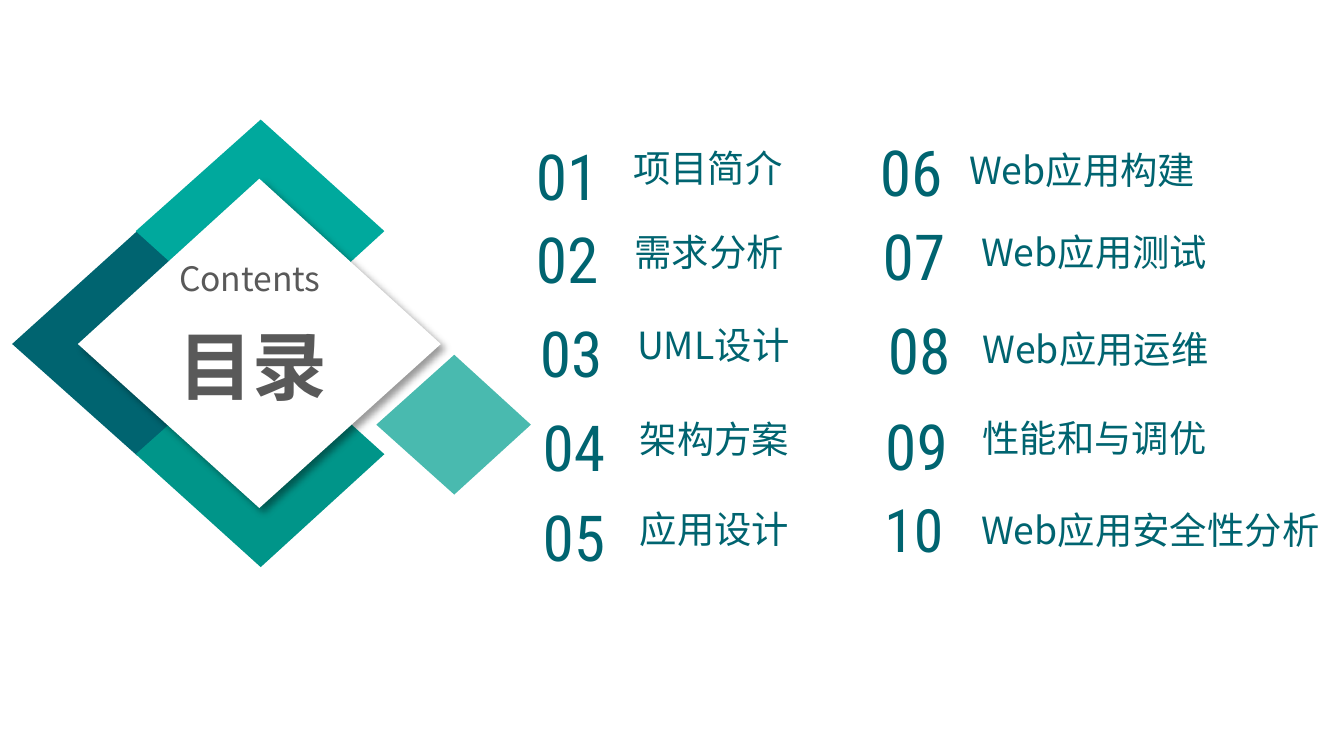
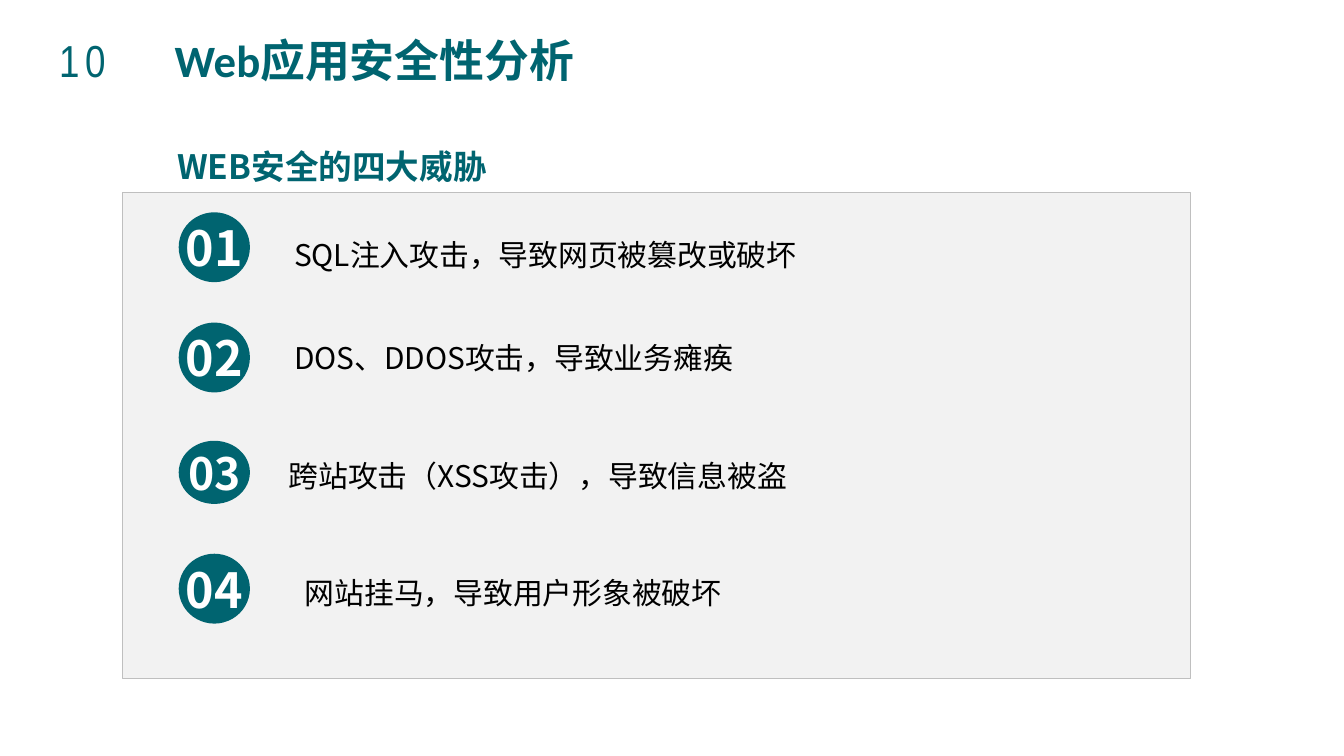
from dataclasses import dataclass

from lxml import etree
from pptx import Presentation
from pptx.dml.color import RGBColor
from pptx.enum.shapes import MSO_SHAPE
from pptx.enum.text import MSO_ANCHOR, MSO_AUTO_SIZE, PP_ALIGN
from pptx.oxml.ns import qn
from pptx.util import Emu, Pt

RECT, OVAL = MSO_SHAPE.RECTANGLE, MSO_SHAPE.OVAL
TOP, MID, LOW = MSO_ANCHOR.TOP, MSO_ANCHOR.MIDDLE, MSO_ANCHOR.BOTTOM
LEFT, CENTER = PP_ALIGN.LEFT, PP_ALIGN.CENTER
GROW, FIXED = MSO_AUTO_SIZE.SHAPE_TO_FIT_TEXT, MSO_AUTO_SIZE.NONE
SCALE = 9144


@dataclass(frozen=True)
class Theme:
    deep: str = "006470"
    teal: str = "00A99D"
    green: str = "009589"
    pale: str = "49BAAF"
    white: str = "FFFFFF"
    black: str = "000000"
    gray: str = "595959"
    panel: str = "F2F2F2"
    edge: str = "BFBFBF"
    sans: str = "Noto Sans CJK SC"
    slim: str = "Roboto Condensed"
    narrow: str = "Arial Narrow"
    latin: str = "Calibri"
    huge: float = 40
    count: float = 34
    last: float = 32
    badge: float = 25.9
    small: float = 23.8
    title: float = 24
    item: float = 20
    head: float = 18
    body: float = 16


THEME = Theme()
PAD = (10, 5, 10, 5)
FLUSH = (0, 0, 0, 0)
INDENT = (39, 0, 0, 0)

ITEMS = [
    (395, 101, 432, 107, "项目简介"),
    (395, 163, 433, 170, "需求分析"),
    (398, 233, 435, 239, "UML设计"),
    (400, 303, 437, 309, "架构方案"),
    (400, 370, 437, 376, "应用设计"),
    (651, 98, 682, 109, "Web应用构建"),
    (653, 161, 691, 170, "Web应用测试"),
    (657, 231, 692, 242, "Web应用运维"),
    (655, 302, 692, 308, "性能和与调优"),
    (653, 364, 691, 377, "Web应用安全性分析"),
]

RISKS = [
    (158, 52, THEME.badge, (209, 171, 606, 37), "SQL注入攻击，导致网页被篡改或破坏"),
    (240, 52, THEME.badge, (209, 248, 583, 37), "DOS、DDOS攻击，导致业务瘫痪"),
    (328, 47, THEME.small, (205, 336, 594, 37), "跨站攻击（XSS攻击），导致信息被盗"),
    (412, 52, THEME.badge, (217, 423, 563, 37), "网站挂马，导致用户形象被破坏"),
]


def px(value):
    return Emu(value * SCALE)


def place(box):
    return [px(value) for value in box]


def tint(name):
    return RGBColor.from_string(name)


def paint(shape, fill, edge=None):
    shape.shadow.inherit = False
    shape.fill.solid()
    shape.fill.fore_color.rgb = tint(fill)
    if edge:
        shape.line.color.rgb = tint(edge)
        shape.line.width = Pt(0.25)
    else:
        shape.line.fill.background()


def add_run(para, text, size, color, face=THEME.sans, bold=False, space=0):
    run = para.add_run()
    run.text = text
    for key, value in {"size": Pt(size), "name": face, "bold": bold}.items():
        setattr(run.font, key, value)
    run.font.color.rgb = tint(color)
    props = run.font._element
    etree.SubElement(props, qn("a:ea")).set("typeface", THEME.sans)
    if space:
        props.set("spc", str(space * 100))


def set_frame(shape, pad=PAD, align=LEFT, anchor=TOP, wrap=True, fit=FIXED):
    frame = shape.text_frame
    sides = ("left", "top", "right", "bottom")
    style = {f"margin_{side}": px(gap) for side, gap in zip(sides, pad)}
    style.update(vertical_anchor=anchor, word_wrap=wrap, auto_size=fit)
    for key, value in style.items():
        setattr(frame, key, value)
    para = frame.paragraphs[0]
    para.alignment = align
    return para


def add_text(slide, box, text, size, color, face=THEME.sans, bold=False, **style):
    para = set_frame(slide.shapes.add_textbox(*place(box)), **style)
    add_run(para, text, size, color, face, bold)


def add_gem(slide, box, fill):
    x, y, wide, high = box
    mid, side = x + wide / 2, y + high / 2
    form = slide.shapes.build_freeform(x + wide, side, scale=SCALE)
    form.add_line_segments([(mid, y + high), (x, side), (mid, y)], close=True)
    shape = form.convert_to_shape()
    paint(shape, fill)
    return shape


def add_shade(shape):
    effects = shape._element.spPr.find(qn("a:effectLst"))
    shade = etree.SubElement(effects, qn("a:outerShdw"))
    values = {"blurRad": Pt(4), "dist": Pt(3), "dir": 45 * 60000, "rotWithShape": 0}
    for key, value in values.items():
        shade.set(key, str(int(value)))
    color = etree.SubElement(shade, qn("a:srgbClr"), val=THEME.black)
    etree.SubElement(color, qn("a:alpha"), val="40000")


def add_badge(slide, box, text, size):
    shape = slide.shapes.add_shape(OVAL, *place(box))
    paint(shape, THEME.deep)
    para = set_frame(shape, FLUSH, CENTER, MID, False)
    add_run(para, text, size, THEME.white, bold=True)


def add_title(slide, count, text):
    box = slide.shapes.add_textbox(*place((44, 20, 441, 48)))
    para = set_frame(box, FLUSH, anchor=MID)
    stops = etree.SubElement(para._p.get_or_add_pPr(), qn("a:tabLst"))
    etree.SubElement(stops, qn("a:tab"), pos=str(px(86)), algn="l")
    add_run(para, f"{count}\t", THEME.title, THEME.deep, THEME.narrow, space=3)
    add_run(para, text, THEME.title, THEME.deep, THEME.latin, bold=True)


def add_item(slide, count, item):
    x, y, left, top, text = item
    size = THEME.last if count == len(ITEMS) else THEME.count
    add_text(slide, (x, y, 54, 58), f"{count:02}", size, THEME.deep, THEME.slim,
             align=CENTER, anchor=MID, wrap=False)
    add_text(slide, (left, top, 227, 34), text, THEME.item, THEME.deep,
             pad=INDENT, anchor=LOW, wrap=False)


def make_index(slide):
    add_gem(slide, (9, 172, 185, 167), THEME.deep)
    add_gem(slide, (101, 89, 185, 167), THEME.teal)
    add_gem(slide, (101, 255, 185, 167), THEME.green)
    add_shade(add_gem(slide, (58, 133, 270, 245), THEME.white))
    add_gem(slide, (280, 264, 115, 104), THEME.pale)
    add_text(slide, (112, 180, 148, 42), "Contents", THEME.head, THEME.gray,
             pad=FLUSH, align=CENTER, anchor=LOW)
    add_text(slide, (114, 233, 148, 76), "目录", THEME.huge, THEME.gray,
             bold=True, align=CENTER)
    for count, item in enumerate(ITEMS, 1):
        add_item(slide, count, item)


def make_risks(slide):
    add_text(slide, (122, 104, 583, 40), "WEB安全的四大威胁", THEME.head,
             THEME.deep, bold=True, fit=GROW)
    panel = slide.shapes.add_shape(RECT, *place((91, 143, 795, 362)))
    paint(panel, THEME.panel, THEME.edge)
    for count, (top, high, size, box, text) in enumerate(RISKS, 1):
        add_badge(slide, (133, top, 53, high), f"{count:02}", size)
        add_text(slide, box, text, THEME.body, THEME.black, fit=GROW)
    add_title(slide, len(ITEMS), ITEMS[-1][-1])


def main():
    deck = Presentation()
    deck.slide_width = px(1000)
    deck.slide_height = Emu(deck.slide_width * 9 // 16)
    for make in (make_index, make_risks):
        make(deck.slides.add_slide(deck.slide_layouts[6]))
    deck.save("out.pptx")


if __name__ == "__main__":
    main()
